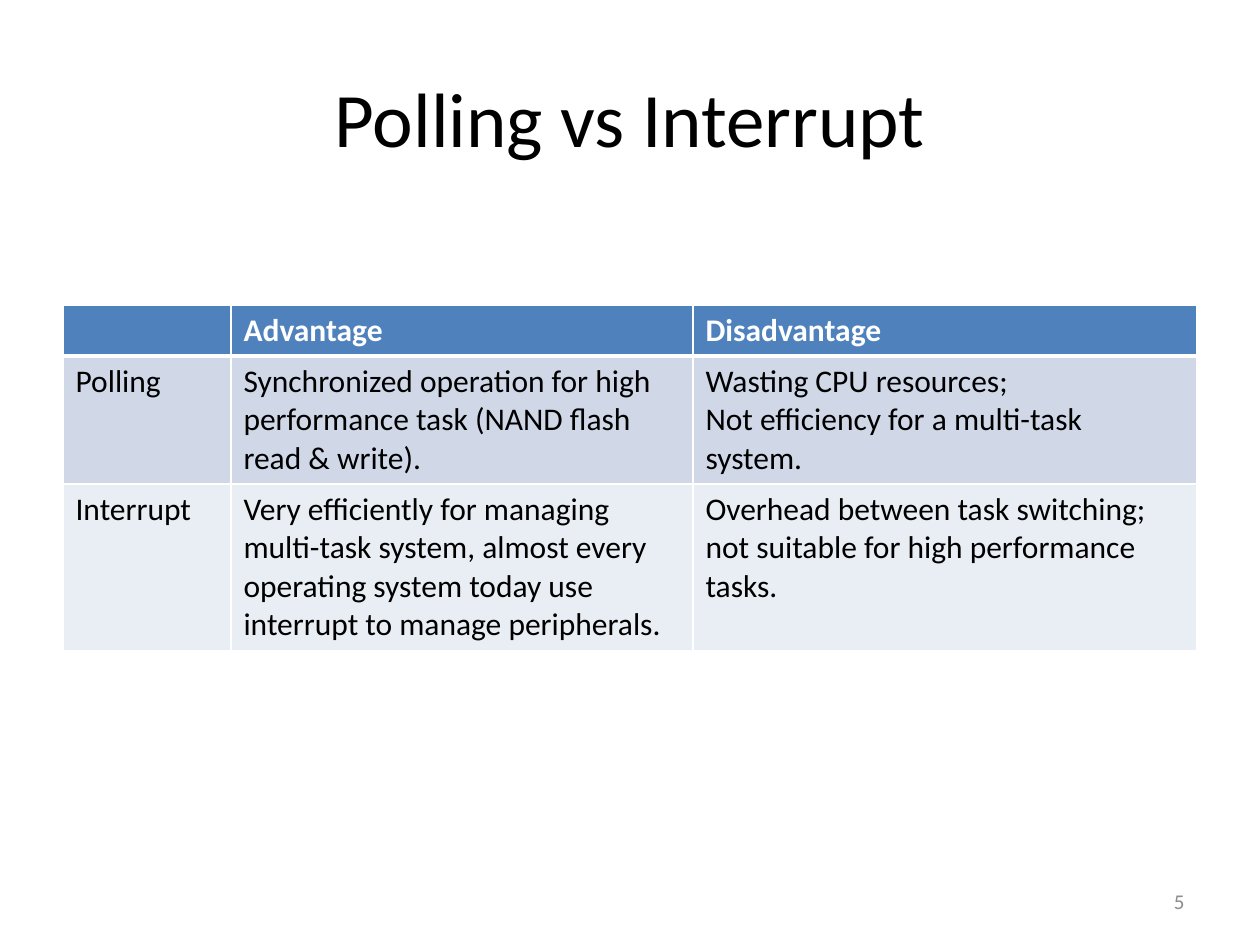
from lxml import etree
from pptx import Presentation
from pptx.dml.color import RGBColor
from pptx.enum.text import MSO_ANCHOR, PP_ALIGN
from pptx.oxml.ns import qn
from pptx.util import Emu, Pt

MIDDLE = MSO_ANCHOR.MIDDLE
LEFT, CENTER, RIGHT = PP_ALIGN.LEFT, PP_ALIGN.CENTER, PP_ALIGN.RIGHT
EMU_PER_PIXEL = 914400 / 126
TITLE_ONLY = 5

BLACK, WHITE, GRAY = "000000", "FFFFFF", "8C8C8C"
ROW_FILLS = ["4F81BD", "D0D8E8", "E9EDF4"]
COLUMN_WIDTHS = [168, 462, 504]
ROW_HEIGHTS = [51, 128, 165]
COMPARISON = [
    ["", "Advantage", "Disadvantage"],
    ["Polling",
     "Synchronized operation for high performance task (NAND flash read & write). ",
     "Wasting CPU resources;\vNot efficiency for a multi-task system. "],
    ["Interrupt",
     "Very efficiently for managing multi-task system, almost every operating "
     "system today use interrupt to manage peripherals. ",
     "Overhead between task switching; not suitable for high performance tasks. "],
]


def px(pixels):
    return Emu(round(pixels * EMU_PER_PIXEL))


def rgb(color):
    return RGBColor.from_string(color)


def write(frame, text, size, color, align=LEFT, bold=False):
    frame.text = text
    frame.word_wrap = True
    for para in frame.paragraphs:
        para.alignment = align
        for span in para.runs:
            span.font.name = "Calibri"
            span.font.size = Pt(size)
            span.font.bold = bold
            span.font.color.rgb = rgb(color)


def place(shape, left, top, width, height):
    shape.left, shape.top = px(left), px(top)
    shape.width, shape.height = px(width), px(height)


def add_borders(cell, widths):
    properties = cell._tc.get_or_add_tcPr()
    for side, width in widths.items():
        line = etree.SubElement(properties, qn(f"a:ln{side}"), w=str(Pt(width)))
        fill = etree.SubElement(line, qn("a:solidFill"))
        etree.SubElement(fill, qn("a:srgbClr"), val=WHITE)


def add_title(page, text):
    title = page.shapes.title
    place(title, 63, 38, 1134, 157)
    write(title.text_frame, text, 44, BLACK, CENTER)
    title.text_frame.vertical_anchor = MIDDLE


def add_comparison(page):
    frame = page.shapes.add_table(
        len(ROW_HEIGHTS), len(COLUMN_WIDTHS), px(63), px(305),
        px(sum(COLUMN_WIDTHS)), px(sum(ROW_HEIGHTS)))
    table = frame.table
    for column, width in zip(table.columns, COLUMN_WIDTHS):
        column.width = px(width)
    for index, (row, height) in enumerate(zip(table.rows, ROW_HEIGHTS)):
        row.height = px(height)
        header = index == 0
        # The rule under the header is heavier than the others
        widths = {"L": 1, "R": 1, "T": 3 if index == 1 else 1, "B": 3 if header else 1}
        for cell, text in zip(row.cells, COMPARISON[index]):
            write(cell.text_frame, text, 18, WHITE if header else BLACK, bold=header)
            add_borders(cell, widths)
            cell.fill.solid()
            cell.fill.fore_color.rgb = rgb(ROW_FILLS[index])


def add_page_number(page, number):
    box = page.shapes.add_textbox(px(903), px(876), px(294), px(50))
    write(box.text_frame, number, 12, GRAY, RIGHT)
    box.text_frame.vertical_anchor = MIDDLE


def main():
    deck = Presentation()
    deck.slide_width, deck.slide_height = px(1260), px(945)
    page = deck.slides.add_slide(deck.slide_layouts[TITLE_ONLY])
    add_title(page, "Polling vs Interrupt")
    add_comparison(page)
    add_page_number(page, "5")
    deck.save("out.pptx")


main()
